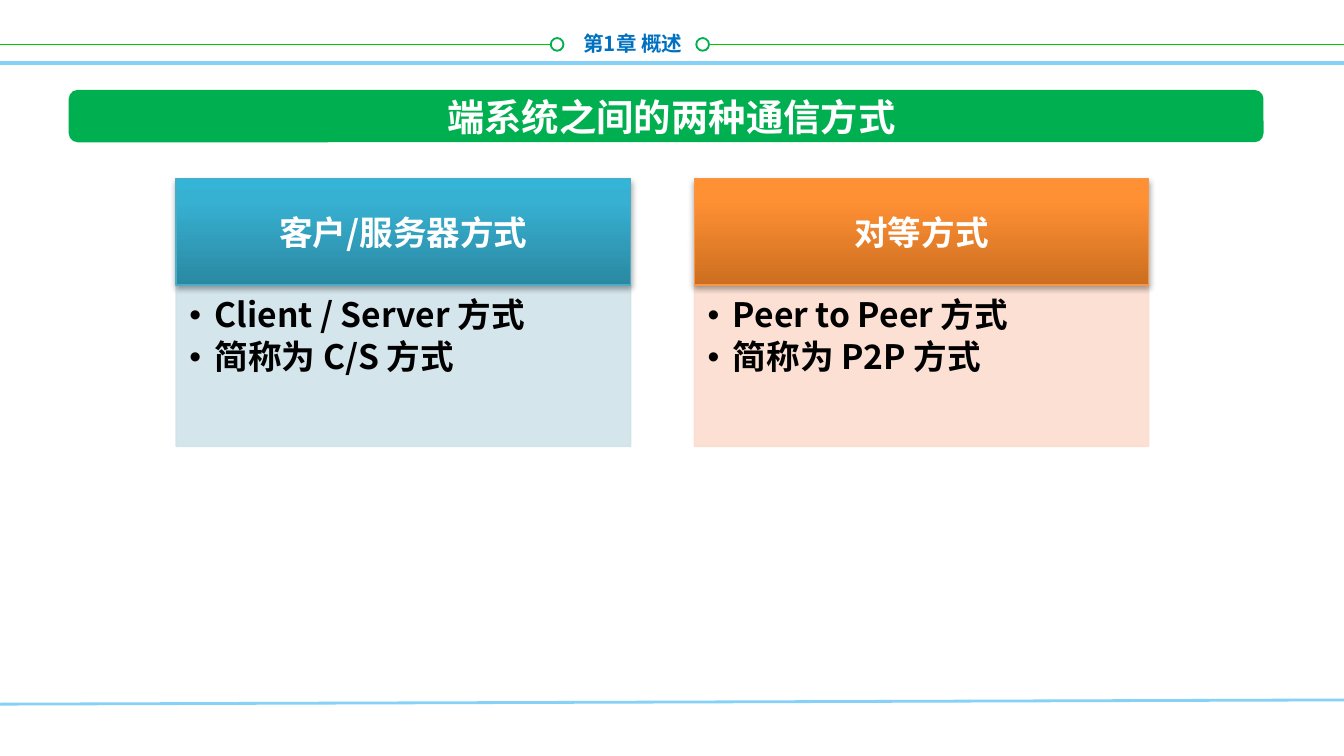
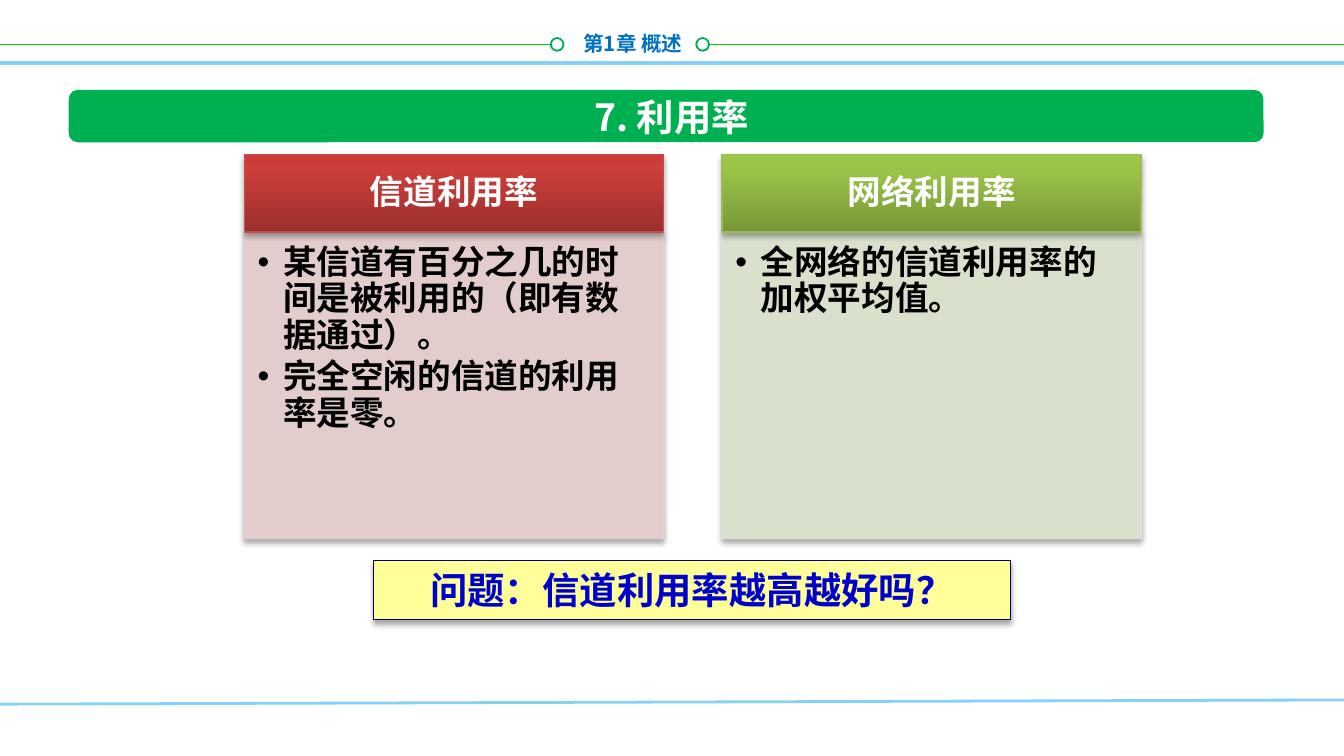
from lxml.etree import SubElement
from pptx import Presentation
from pptx.dml.color import RGBColor
from pptx.enum.shapes import MSO_CONNECTOR, MSO_SHAPE
from pptx.enum.text import MSO_ANCHOR, MSO_AUTO_SIZE, PP_ALIGN
from pptx.oxml.ns import qn
from pptx.util import Cm, Pt

FONT = "Noto Sans CJK SC"
WHITE = RGBColor(0xFF, 0xFF, 0xFF)
BLACK = RGBColor(0x00, 0x00, 0x00)
GREEN = RGBColor(0x00, 0xB0, 0x50)
LIME = RGBColor(0x00, 0xCC, 0x00)
SKY = RGBColor(0x85, 0xD1, 0xF7)
CHAPTER_BLUE = RGBColor(0x00, 0x70, 0xC0)
YELLOW = RGBColor(0xFF, 0xFF, 0x99)
NAVY = RGBColor(0x00, 0x00, 0x66)
QUESTION_BLUE = RGBColor(0x00, 0x00, 0xCC)


def palette(*codes):
    return [RGBColor.from_string(code) for code in codes]


TEAL = palette("2A88A2", "37B1D2", "34B4D6", "4BACC6", "D0E3EA")
ORANGE = palette("CC6E20", "FF9034", "FF9136", "F79646", "FCDDCF")
RED = palette("9C2F2D", "CB3E3A", "CE3B37", "C0504D", "E8D0D0")
OLIVE = palette("779737", "9BC348", "9DC746", "9BBB59", "DEE7D1")

SLIDE_W, SLIDE_H = 25.4, 14.29
BAR = (1.3, 1.7, 22.58, 0.99)
TITLE = (3.48, 1.7, 18.42, 0.99)


def write(p, text, size, color, align=PP_ALIGN.CENTER):
    p.alignment = align
    r = p.add_run()
    r.text = text
    r.font.size = Pt(size)
    r.font.bold = True
    r.font.color.rgb = color
    r.font.name = FONT
    SubElement(r.font._element, qn("a:ea"), typeface=FONT)


def set_frame(tf, insets, anchor):
    tf.word_wrap = True
    tf.vertical_anchor = anchor
    tf.margin_left, tf.margin_top, tf.margin_right, tf.margin_bottom = map(Cm, insets)


def add_box(s, kind, box, fill, line=None, width=0.75):
    sp = s.shapes.add_shape(kind, *map(Cm, box))
    sp.shadow.inherit = False
    sp.fill.solid()
    sp.fill.fore_color.rgb = fill
    if line is None:
        sp.line.fill.background()
    else:
        sp.line.color.rgb = line
        sp.line.width = Pt(width)
    return sp


def add_line(s, x1, y1, x2, y2, color, width):
    line = s.shapes.add_connector(MSO_CONNECTOR.STRAIGHT, Cm(x1), Cm(y1), Cm(x2), Cm(y2))
    line.line.color.rgb = color
    line.line.width = Pt(width)
    SubElement(line._element.spPr, qn("a:effectLst"))


def add_alpha(color, percent):
    SubElement(color, qn("a:alpha"), val=str(percent * 1000))


def add_shadow(sp):
    effects = sp._element.spPr.find(qn("a:effectLst"))
    shadow = SubElement(effects, qn("a:outerShdw"), blurRad=str(Pt(3.1)),
                        dist=str(Pt(1.8)), dir="5400000", rotWithShape="0")
    add_alpha(SubElement(shadow, qn("a:srgbClr"), val=str(BLACK)), 35)


def set_gradient(sp, colors):
    sp.fill.gradient()
    sp.fill.gradient_angle = 90
    stops = sp._element.spPr.find(".//" + qn("a:gsLst"))
    stops.clear()
    for pos, color in zip((0, 80, 100), colors):
        stop = SubElement(stops, qn("a:gs"), pos=str(pos * 1000))
        SubElement(stop, qn("a:srgbClr"), val=str(color))


def add_header(s):
    axis, ring = 0.84, 0.24
    left, right = 10.41, 13.16
    add_line(s, 0, axis, left, axis, LIME, 1)
    add_line(s, right + ring, axis, SLIDE_W, axis, LIME, 1)
    for x in (left, right):
        add_box(s, MSO_SHAPE.OVAL, (x, axis - ring / 2, ring, ring), WHITE, GREEN, 1)
    tb = s.shapes.add_textbox(Cm(9.75), Cm(0.46), Cm(3.4), Cm(0.71))
    tb.text_frame.word_wrap = True
    write(tb.text_frame.paragraphs[0], "第1章 概述", 11, CHAPTER_BLUE, PP_ALIGN.RIGHT)
    add_line(s, 0, 1.19, SLIDE_W, 1.19, SKY, 2)


def add_title(s, text):
    bar = add_box(s, MSO_SHAPE.ROUNDED_RECTANGLE, BAR, GREEN)
    bar.adjustments[0] = 0.17
    title = s.shapes.title
    title.left, title.top, title.width, title.height = map(Cm, TITLE)
    bar._element.addnext(title._element)
    tf = title.text_frame
    tf.auto_size = MSO_AUTO_SIZE.NONE
    set_frame(tf, (0.25, 0.13, 0.25, 0.13), MSO_ANCHOR.MIDDLE)
    write(tf.paragraphs[0], text, 20, WHITE)


def add_slide(prs, title):
    s = prs.slides.add_slide(prs.slide_layouts[5])
    add_header(s)
    add_line(s, 0, 13.31, SLIDE_W, 13.23, SKY, 1.5)
    add_title(s, title)
    return s


def add_bullet(p, text):
    pPr = p._p.get_or_add_pPr()
    pPr.set("marL", str(Cm(0.48)))
    pPr.set("indent", str(-Cm(0.48)))
    SubElement(pPr, qn("a:buFont"), typeface="Arial")
    SubElement(pPr, qn("a:buChar"), char="•")
    p.line_spacing = 0.9
    p.space_after = Pt(3)
    write(p, text, 18, BLACK, PP_ALIGN.LEFT)


def add_card(s, box, head_h, colors, heading, bullets, raised):
    x, y, w, h = box
    *gradient, edge, tint = colors
    panel = add_box(s, MSO_SHAPE.RECTANGLE, (x, y + head_h, w, h - head_h), tint, tint)
    for color in panel._element.spPr.iter(qn("a:srgbClr")):
        add_alpha(color, 90)
    head = add_box(s, MSO_SHAPE.RECTANGLE, (x, y, w, head_h), edge, edge)
    set_gradient(head, gradient)
    add_shadow(head)
    set_frame(head.text_frame, (0.36, 0.2, 0.36, 0.2), MSO_ANCHOR.MIDDLE)
    p = head.text_frame.paragraphs[0]
    write(p, heading, 18, WHITE)
    if raised:
        add_shadow(panel)
        p.line_spacing = 0.9

    tf = panel.text_frame
    set_frame(tf, (0.25, 0.25, 0.36, 0.41), MSO_ANCHOR.TOP)
    for i, text in enumerate(bullets):
        add_bullet(tf.add_paragraph() if i else tf.paragraphs[0], text)


def add_cards(s, box, head_h, cards, raised=False):
    x, y, w, h = box
    for i, card in enumerate(cards):
        add_card(s, (x + i * w * 1.14, y, w, h), head_h, *card, raised)


def add_question(s, box, text):
    sp = add_box(s, MSO_SHAPE.RECTANGLE, box, YELLOW, NAVY)
    add_shadow(sp)
    set_frame(sp.text_frame, (0.25, 0.13, 0.25, 0.13), MSO_ANCHOR.MIDDLE)
    write(sp.text_frame.paragraphs[0], text, 20, QUESTION_BLUE)


def main():
    prs = Presentation()
    prs.slide_width, prs.slide_height = Cm(SLIDE_W), Cm(SLIDE_H)

    s = add_slide(prs, "端系统之间的两种通信方式")
    add_cards(s, (3.33, 3.38, 8.59, 5.06), 2.01, [
        (TEAL, "客户/服务器方式", ["Client / Server 方式", "简称为 C/S 方式"]),
        (ORANGE, "对等方式", ["Peer to Peer 方式", "简称为 P2P 方式"]),
    ])

    s = add_slide(prs, "7. 利用率")
    add_cards(s, (4.62, 2.92, 7.92, 7.26), 1.47, [
        (RED, "信道利用率", ["某信道有百分之几的时间是被利用的（即有数据通过）。",
                        "完全空闲的信道的利用率是零。"]),
        (OLIVE, "网络利用率", ["全网络的信道利用率的加权平均值。"]),
    ], raised=True)
    add_question(s, (7.06, 10.59, 12.04, 1.12), "问题：信道利用率越高越好吗？")

    prs.save("out.pptx")


if __name__ == "__main__":
    main()
